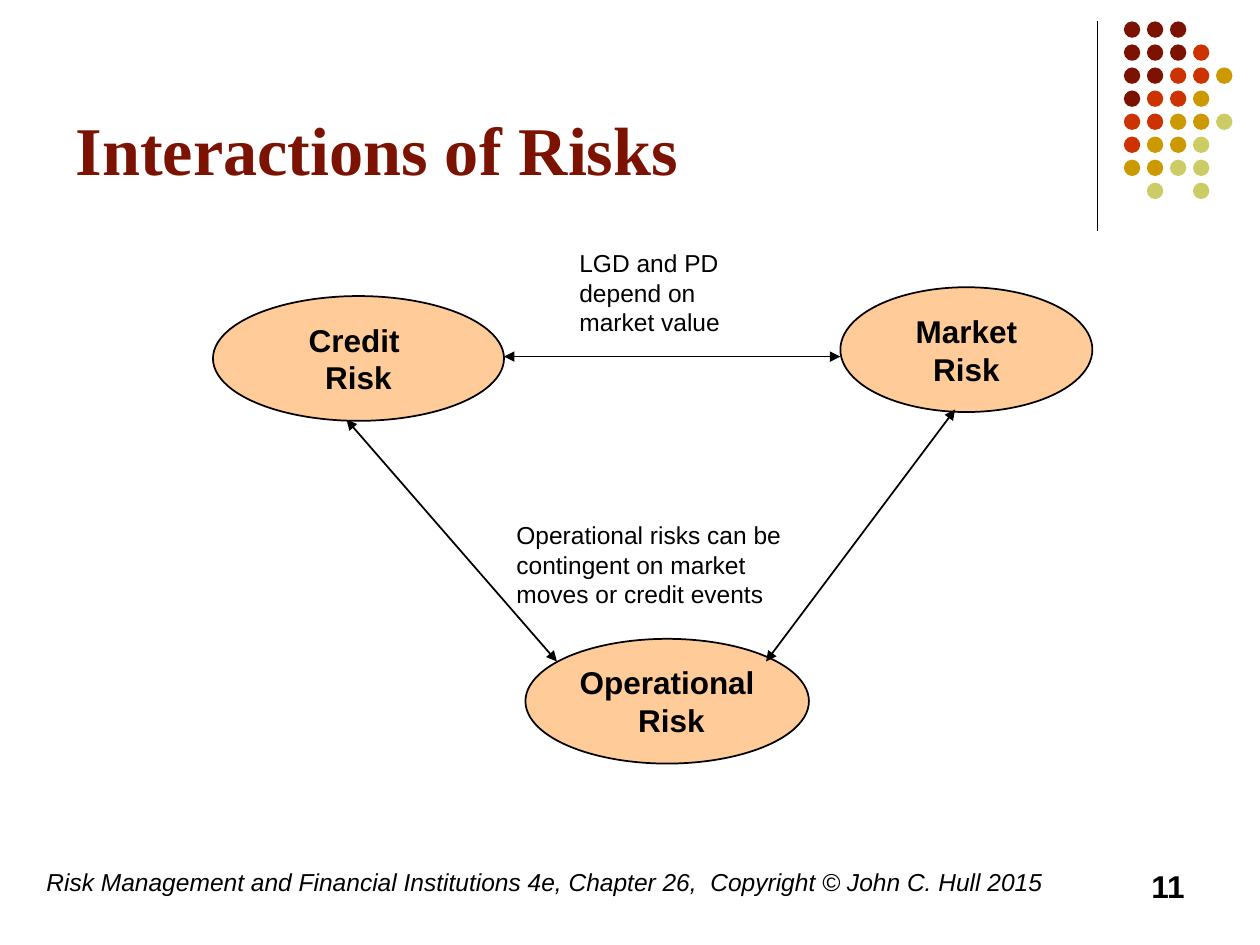
from lxml.etree import SubElement
from pptx import Presentation
from pptx.dml.color import RGBColor
from pptx.enum.shapes import MSO_CONNECTOR, MSO_SHAPE
from pptx.enum.text import MSO_ANCHOR, MSO_AUTO_SIZE, PP_ALIGN
from pptx.oxml.ns import qn
from pptx.util import Inches, Pt

BLACK, MAROON, PEACH = "000000", "7C1302", "FFCC99"
DOT_COLORS = {"m": MAROON, "r": "CC3300", "g": "CC9900", "y": "CCCC66"}
DOT_ROWS = ["mmm", "mmmr", "mmrrg", "mrrg", "rrggy", "rggy", "ggyy", " y y"]
DOT_LEFT, DOT_TOP, DOT_SIZE = 8.92, 0.17, 0.13
DOT_PITCH = 1.28 / (len(DOT_ROWS) - 1)

RISKS = [
    ("Credit \nRisk", 1.69, 2.35, 2.31),
    ("Market Risk", 6.67, 2.28, 2),
    ("Operational\n Risk", 4.17, 5.07, 2.25),
]
INTERACTIONS = [
    ((4, 2.83), (6.67, 2.83)),
    ((4.42, 5.25), (2.75, 3.33)),
    ((7.58, 3.25), (6.08, 5.25)),
]


def color(value):
    return RGBColor.from_string(value)


class SlideBuilder:
    label_font = {"name": "Arial", "size": Pt(18), "bold": True}
    note_font = {"name": "Arial", "size": Pt(14), "bold": False}
    footer_font = {**note_font, "italic": True}
    title_font = {"name": "Times New Roman", "size": Pt(39), "bold": True}

    def __init__(self, page):
        self.page = page

    def fill_text(self, box, text, font, ink=BLACK, align=PP_ALIGN.LEFT,
                  anchor=MSO_ANCHOR.TOP, side_margin=0.1):
        frame = box.text_frame
        frame.text = text
        layout = {
            "word_wrap": True, "auto_size": MSO_AUTO_SIZE.NONE,
            "vertical_anchor": anchor,
            "margin_left": Inches(side_margin), "margin_right": Inches(side_margin),
        }
        for name, value in layout.items():
            setattr(frame, name, value)
        for para in frame.paragraphs:
            para.alignment = align
            for name, value in font.items():
                setattr(para.font, name, value)
            para.font.color.rgb = color(ink)

    def title(self, text, *place):
        box = self.page.shapes.title
        box.left, box.top, box.width, box.height = map(Inches, place)
        self.fill_text(box, text, self.title_font, MAROON, anchor=MSO_ANCHOR.BOTTOM)

    def text(self, text, place, font, align=PP_ALIGN.LEFT):
        box = self.page.shapes.add_textbox(*map(Inches, place))
        self.fill_text(box, text, font, align=align)

    def ellipse(self, left, top, width, height, fill, outlined=False):
        shape = self.page.shapes.add_shape(
            MSO_SHAPE.OVAL, *map(Inches, (left, top, width, height)))
        shape.shadow.inherit = False
        shape.fill.solid()
        shape.fill.fore_color.rgb = color(fill)
        if outlined:
            shape.line.color.rgb = color(BLACK)
            shape.line.width = Pt(1)
        else:
            shape.line.fill.background()
        return shape

    def risk(self, text, left, top, width):
        shape = self.ellipse(left, top, width, 0.99, PEACH, outlined=True)
        self.fill_text(shape, text, self.label_font, align=PP_ALIGN.CENTER,
                       anchor=MSO_ANCHOR.MIDDLE, side_margin=0.05)

    def line(self, start, end, width=1, arrows=True):
        connector = self.page.shapes.add_connector(
            MSO_CONNECTOR.STRAIGHT, *map(Inches, (*start, *end)))
        connector.line.color.rgb = color(BLACK)
        connector.line.width = Pt(width)
        properties = connector._element.spPr
        if arrows:
            outline = properties.get_or_add_ln()
            for tag in ("a:headEnd", "a:tailEnd"):
                SubElement(outline, qn(tag), type="triangle")
        SubElement(properties, qn("a:effectLst"))

    def dots(self):
        for row, marks in enumerate(DOT_ROWS):
            for column, mark in enumerate(marks):
                if mark in DOT_COLORS:
                    self.ellipse(DOT_LEFT + column * DOT_PITCH,
                                 DOT_TOP + row * DOT_PITCH,
                                 DOT_SIZE, DOT_SIZE, DOT_COLORS[mark])


def main():
    deck = Presentation()
    deck.slide_width, deck.slide_height = Inches(10), Inches(7.5)
    builder = SlideBuilder(deck.slides.add_slide(deck.slide_layouts[5]))

    builder.line((8.71, 0.17), (8.71, 1.83), width=0.75, arrows=False)
    builder.dots()
    builder.text("Risk Management and Financial Institutions 4e, Chapter 26,  "
                 "Copyright © John C. Hull 2015",
                 (0.27, 6.83, 8.27, 0.5), builder.footer_font)
    builder.title("Interactions of Risks", 0.5, 0.13, 8.25, 1.42)

    for risk in RISKS:
        builder.risk(*risk)
    for start, end in INTERACTIONS:
        builder.line(start, end)

    builder.text("LGD and PD depend on market value",
                 (4.5, 1.92, 1.5, 0.8), builder.note_font)
    builder.text("Operational risks can be contingent on market moves or credit events",
                 (4, 4.08, 2.5, 0.8), builder.note_font)
    builder.text("11", (7.17, 6.83, 2.33, 0.5), builder.label_font, PP_ALIGN.RIGHT)
    deck.save("out.pptx")


if __name__ == "__main__":
    main()
